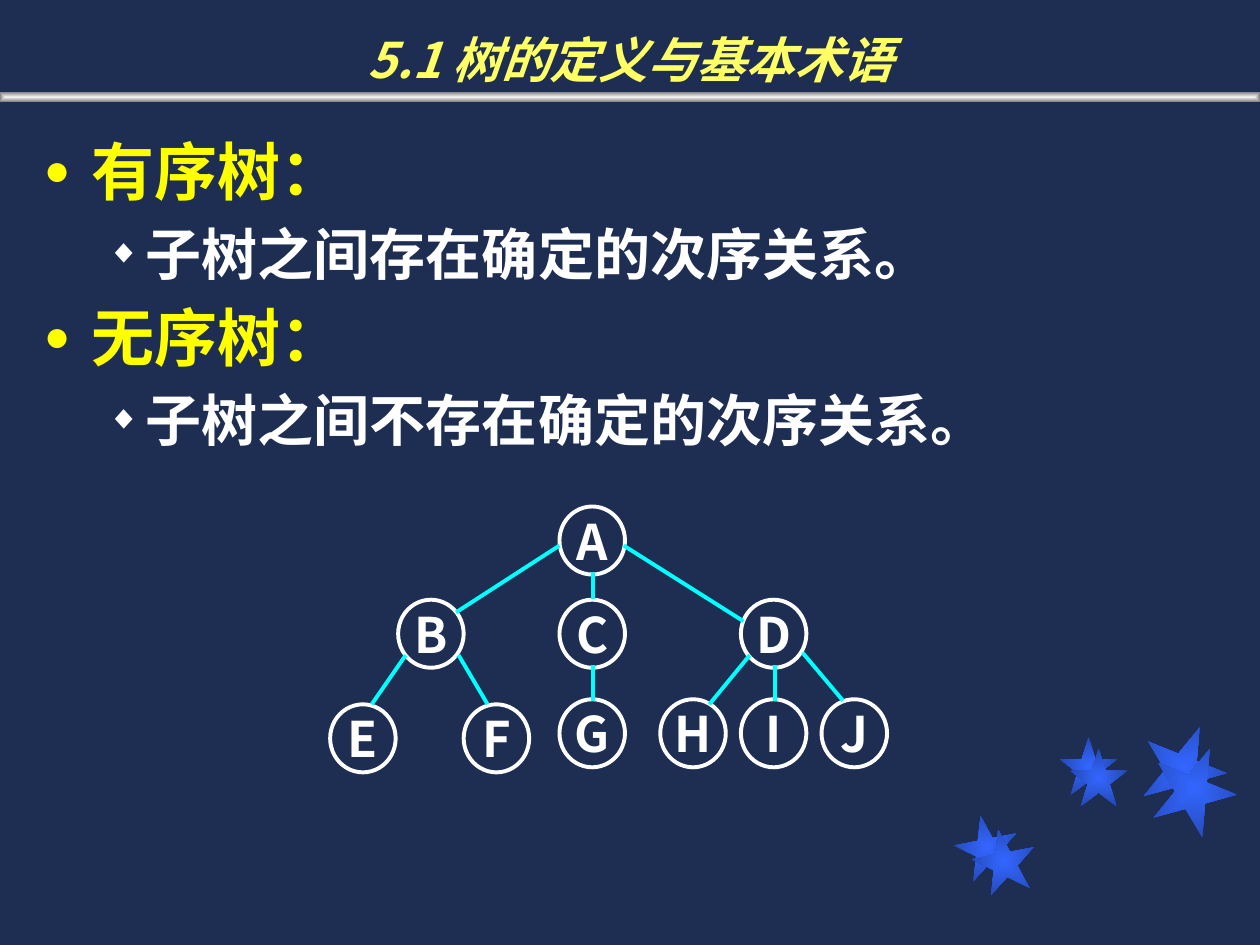
from lxml import etree
from pptx import Presentation
from pptx.dml.color import RGBColor
from pptx.enum.shapes import MSO_CONNECTOR as Connector, MSO_SHAPE as Shape
from pptx.enum.text import MSO_ANCHOR as Anchor, PP_ALIGN as Align
from pptx.oxml.ns import qn
from pptx.util import Inches, Pt

COLORS = {
    "background": "1E2E53",
    "star_center": "3366FF",
    "star_edge": "2449B6",
    "bar_center": "F2F2F2",
    "bar_edge": "808080",
    "title": "FFFF66",
    "topic": "FFFF00",
    "white": "FFFFFF",
    "edge": "00FFFF",
}
CJK_FONT = "Noto Sans CJK SC"

# left, top, size, rotation
STARS = [
    (7.58, 6.47, 0.5, 349), (8.41, 5.85, 0.46, 0), (9.06, 5.75, 0.67, 22),
    (7.72, 6.58, 0.5, 349), (8.49, 5.94, 0.46, 0), (9.14, 5.92, 0.67, 22),
]

# text, level
OUTLINE = [
    ("有序树：", 0),
    ("子树之间存在确定的次序关系。", 1),
    ("无序树：", 0),
    ("子树之间不存在确定的次序关系。", 1),
]
# bullet, bullet size %, margin, hanging indent, font size, colour
LEVELS = [
    ("●", 70, 0.38, 0.38, 36, "topic"),
    ("◆", 60, 0.81, 0.31, 32, "white"),
]

# top of each row, then the left of each node in it
TREE_ROWS = [
    (4.02, {"A": 4.44}),
    (4.76, {"B": 3.16, "C": 4.44, "D": 5.88}),
    (5.55, {"G": 4.44, "H": 5.24, "I": 5.88, "J": 6.52}),
    (5.59, {"E": 2.62, "F": 3.68}),
]
TREE_EDGES = [
    (4.44, 4.33, 3.62, 4.86), (4.71, 4.54, 4.71, 4.75), (4.95, 4.33, 5.9, 4.93),
    (3.22, 5.2, 2.95, 5.59), (3.64, 5.2, 3.87, 5.59),
    (4.71, 5.28, 4.71, 5.56),
    (5.95, 5.2, 5.63, 5.59), (6.15, 5.28, 6.15, 5.56), (6.37, 5.18, 6.69, 5.56),
]


def color(name):
    return RGBColor.from_string(COLORS[name])


def format_run(run, size, color_name, latin=CJK_FONT, italic=None):
    font = run.font
    font.name, font.size, font.bold, font.italic = latin, Pt(size), True, italic
    font.color.rgb = color(color_name)
    east_asian = etree.SubElement(font._element, qn("a:ea"))
    east_asian.set("typeface", CJK_FONT)


def add_glow_shape(slide, kind, box, center, edge, rotation=0):
    """Add a borderless shape whose gradient runs from its centre outwards."""
    shape = slide.shapes.add_shape(kind, *map(Inches, box))
    shape.shadow.inherit = False
    shape.rotation = rotation
    shape.line.fill.background()
    shape.fill.gradient()
    for stop, position, name in zip(shape.fill.gradient_stops, (0, 1), (center, edge)):
        stop.position = position
        stop.color.rgb = color(name)
    gradient = shape._element.spPr.find(qn("a:gradFill"))
    gradient.remove(gradient.find(qn("a:lin")))
    shade = etree.SubElement(gradient, qn("a:path"), {"path": "shape"})
    middle = dict.fromkeys("ltrb", "50000")
    etree.SubElement(shade, qn("a:fillToRect"), middle)


def add_text_frame(slide, box, anchor):
    frame = slide.shapes.add_textbox(*map(Inches, box)).text_frame
    frame.word_wrap = True
    frame.vertical_anchor = anchor
    return frame


def add_title(slide, text):
    paragraph = add_text_frame(slide, (0, 0, 10, 0.75), Anchor.BOTTOM).paragraphs[0]
    paragraph.text = text
    paragraph.alignment = Align.CENTER
    format_run(paragraph.runs[0], 28, "title", italic=True)


def set_bullet(paragraph, character, percent, color_name, margin, hanging):
    properties = paragraph._p.get_or_add_pPr()
    properties.set("marL", str(Inches(margin)))
    properties.set("indent", str(-Inches(hanging)))
    bullet_color = etree.SubElement(properties, qn("a:buClr"))
    etree.SubElement(bullet_color, qn("a:srgbClr"), val=COLORS[color_name])
    etree.SubElement(properties, qn("a:buSzPct"), val=str(percent * 1000))
    etree.SubElement(properties, qn("a:buFont"), typeface="Arial")
    etree.SubElement(properties, qn("a:buChar"), char=character)


def add_outline(slide):
    frame = add_text_frame(slide, (0.25, 1, 9.46, 5.48), Anchor.TOP)
    frame.text = "\n".join(text for text, _ in OUTLINE)
    for index, (paragraph, (_, level)) in enumerate(zip(frame.paragraphs, OUTLINE)):
        character, percent, margin, hanging, size, color_name = LEVELS[level]
        paragraph.level = level
        set_bullet(paragraph, character, percent, color_name, margin, hanging)
        if index:
            paragraph.space_before = Pt(size * 0.2)
        format_run(paragraph.runs[0], size, color_name, latin="Arial")


def add_node(slide, label, left, top):
    node = slide.shapes.add_shape(
        Shape.OVAL, Inches(left), Inches(top), Inches(0.52), Inches(0.54))
    node.shadow.inherit = False
    node.fill.background()
    node.line.color.rgb = color("white")
    node.line.width = Pt(2.25)
    frame = node.text_frame
    frame.text = label
    frame.word_wrap = False
    frame.vertical_anchor = Anchor.MIDDLE
    frame.paragraphs[0].alignment = Align.CENTER
    format_run(frame.paragraphs[0].runs[0], 28, "white")


def add_edge(slide, ends):
    edge = slide.shapes.add_connector(Connector.STRAIGHT, *map(Inches, ends))
    edge.line.color.rgb = color("edge")
    edge.line.width = Pt(2.25)
    etree.SubElement(edge._element.spPr, qn("a:effectLst"))


def main():
    presentation = Presentation()
    presentation.slide_width, presentation.slide_height = Inches(10), Inches(7.5)
    slide = presentation.slides.add_slide(presentation.slide_layouts[6])
    slide.background.fill.solid()
    slide.background.fill.fore_color.rgb = color("background")

    for left, top, size, rotation in STARS:
        add_glow_shape(slide, Shape.STAR_5_POINT, (left, top, size, size),
                       "star_center", "star_edge", rotation)
    add_glow_shape(slide, Shape.RECTANGLE, (0, 0.73, 10, 0.08), "bar_center", "bar_edge")
    add_outline(slide)
    add_title(slide, "5.1 树的定义与基本术语")
    for top, nodes in TREE_ROWS:
        for label, left in nodes.items():
            add_node(slide, label, left, top)
    for ends in TREE_EDGES:
        add_edge(slide, ends)

    presentation.save("out.pptx")


if __name__ == "__main__":
    main()
